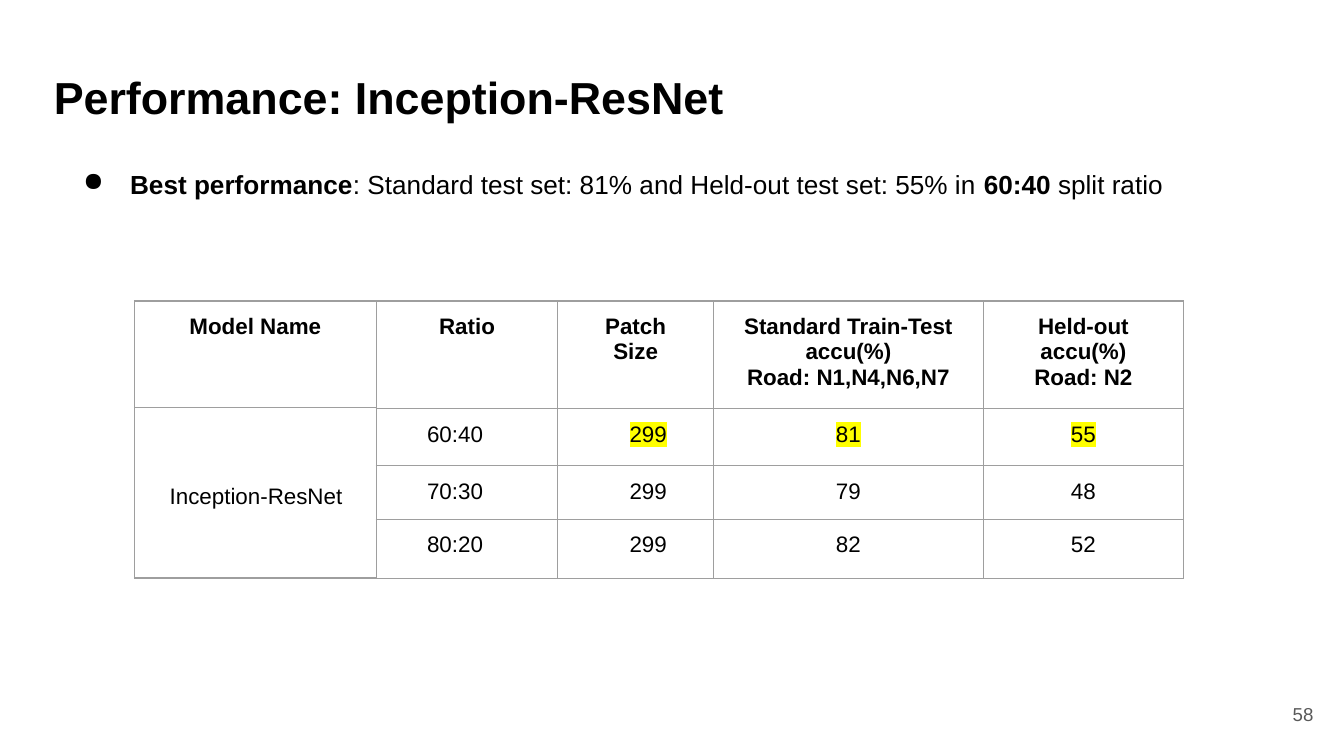
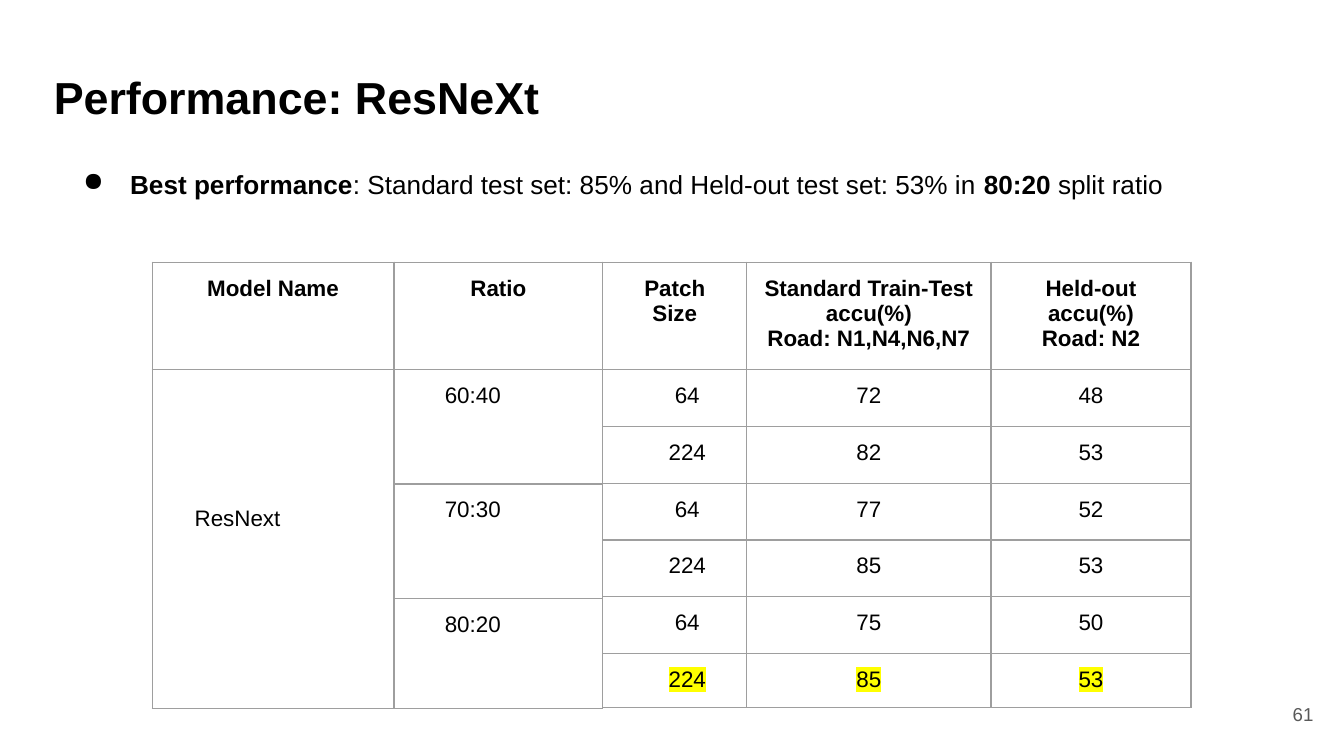
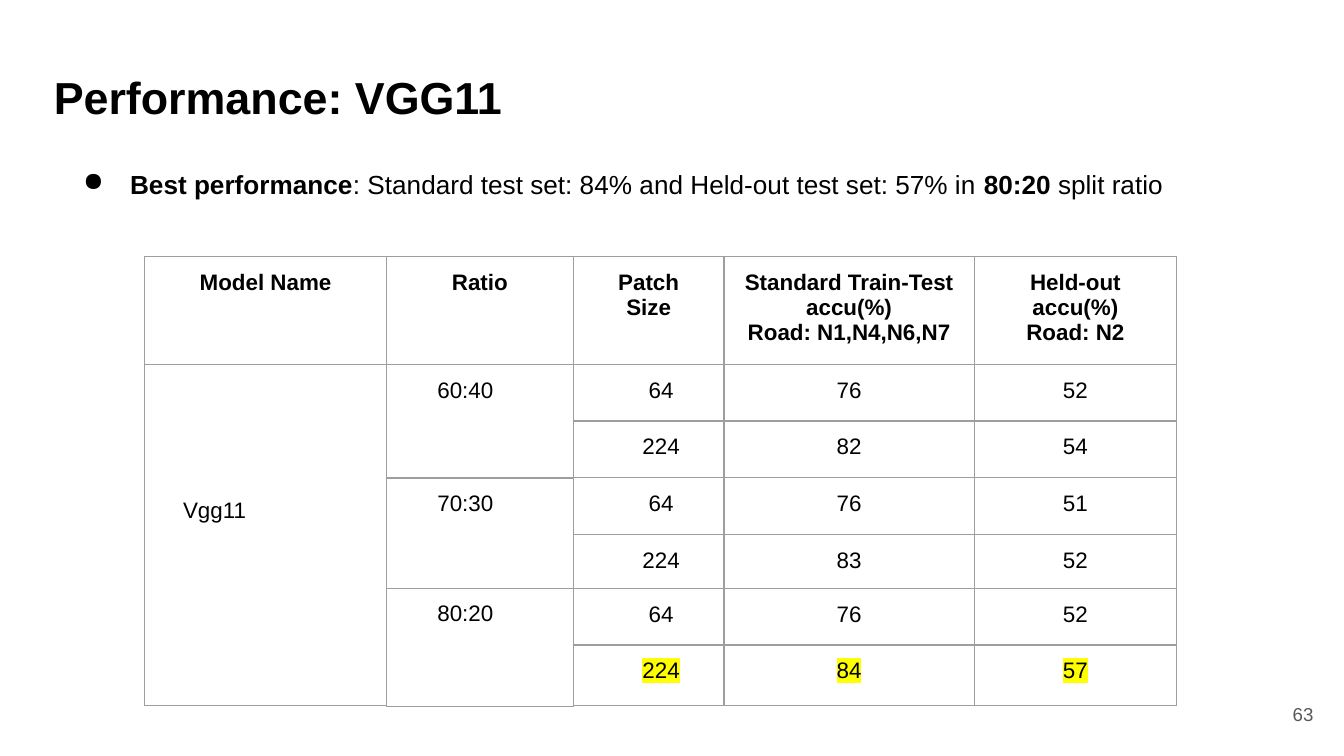
import lxml.etree
import pptx
import pptx.dml.color
import pptx.enum.text
import pptx.oxml.ns
import pptx.util

Pt = pptx.util.Pt
qn = pptx.oxml.ns.qn
ALIGN = pptx.enum.text.PP_ALIGN
ANCHOR = pptx.enum.text.MSO_ANCHOR

BLACK = pptx.dml.color.RGBColor(0x00, 0x00, 0x00)
GRAY = pptx.dml.color.RGBColor(0x59, 0x59, 0x59)
BORDER = pptx.dml.color.RGBColor(0x9E, 0x9E, 0x9E)
YELLOW = pptx.dml.color.RGBColor(0xFF, 0xFF, 0x00)

FONT = "Arial"
INSET = 7.2
RATIO_INDENT = 20
PATCH_INDENT = 13.4
MODEL_WIDTH = 129.6
RATIOS = ["60:40", "70:30", "80:20"]
RESULT_HEADERS = [
    ["Patch", "Size"],
    ["Standard Train-Test", "accu(%)", "Road: N1,N4,N6,N7"],
    ["Held-out", "accu(%)", "Road: N2"],
]

# One entry per slide; "best" is the index of the highlighted result
SLIDES = [
    {
        "model": "Inception-ResNet", "label": "Inception-ResNet",
        "page": 58, "title_width": 535.7,
        "left": 72, "top": 161.3,
        "label_indent": 11.7, "label_drop": 34, "model_rows": [57, 91.4],
        "ratio_width": 97.2, "ratio_rows": [57.6, 30.4, 28.8, 31.7],
        "result_widths": [83.5, 144.5, 107.3],
        "result_rows": [57.6, 30.4, 28.8, 31.7],
        "results": [(299, 81, 55), (299, 79, 48), (299, 82, 52)],
        "best": 0, "best_ratio": "60:40",
    },
    {
        "model": "ResNeXt", "label": "ResNext",
        "page": 61, "title_width": 355,
        "left": 81.5, "top": 140.5,
        "label_indent": 15.6, "label_drop": 66, "model_rows": [57.6, 181.4],
        "ratio_width": 111.8, "ratio_rows": [57.6, 61.2, 61.2, 59],
        "result_widths": [77.2, 130.8, 107.2],
        "result_rows": [43.2] + [30.4] * 5 + [28.8],
        "results": [(64, 72, 48), (224, 82, 53), (64, 77, 52),
                    (224, 85, 53), (64, 75, 50), (224, 85, 53)],
        "best": 5, "best_ratio": "80:20",
    },
    {
        "model": "VGG11", "label": "Vgg11",
        "page": 63, "title_width": 355,
        "left": 77.5, "top": 137.5,
        "label_indent": 13.4, "label_drop": 64.4, "model_rows": [57.6, 183],
        "ratio_width": 100, "ratio_rows": [57.6, 61, 59, 63.4],
        "result_widths": [80.8, 134, 108.5],
        "result_rows": [57.6, 30.4, 30.4, 30.4, 28.8, 30.4, 32.6],
        "results": [(64, 76, 52), (224, 82, 54), (64, 76, 51),
                    (224, 83, 52), (64, 76, 52), (224, 84, 57)],
        "best": 5, "best_ratio": "80:20",
    },
]


def style_font(paragraph, size, color=BLACK, bold=False):
    font = paragraph.font
    font.name = FONT
    font.size = Pt(size)
    font.color.rgb = color
    font.bold = bold


def set_insets(frame):
    frame.margin_left = frame.margin_right = Pt(INSET)
    frame.margin_top = frame.margin_bottom = Pt(INSET)


def add_text_box(slide, left, top, width, height):
    frame = slide.shapes.add_textbox(Pt(left), Pt(top), Pt(width), Pt(height)).text_frame
    frame.word_wrap = True
    set_insets(frame)
    return frame


def add_title(slide, text, width):
    title = slide.shapes.title
    title.left, title.top, title.width, title.height = Pt(21.6), Pt(30.2), Pt(width), Pt(45.4)
    frame = title.text_frame
    frame.text = text
    frame.vertical_anchor = ANCHOR.TOP
    frame.auto_size = pptx.enum.text.MSO_AUTO_SIZE.NONE
    set_insets(frame)
    frame.paragraphs[0].alignment = ALIGN.LEFT
    style_font(frame.paragraphs[0], 24, bold=True)


def add_page_number(slide, number):
    frame = add_text_box(slide, 667.5, 367.2, 43.2, 31)
    frame.vertical_anchor = ANCHOR.MIDDLE
    frame.text = str(number)
    frame.paragraphs[0].alignment = ALIGN.RIGHT
    style_font(frame.paragraphs[0], 10, GRAY)


def add_summary(slide, standard, held_out, ratio):
    summary = add_text_box(slide, 26.6, 82.8, 632.2, 31.7).paragraphs[0]
    # Hanging bullet
    properties = summary._p.get_or_add_pPr()
    properties.set("marL", str(Pt(36)))
    properties.set("indent", str(Pt(-25.2)))
    bullet_color = lxml.etree.SubElement(properties, qn("a:buClr"))
    lxml.etree.SubElement(bullet_color, qn("a:srgbClr")).set("val", str(BLACK))
    lxml.etree.SubElement(properties, qn("a:buChar")).set("char", "●")
    style_font(summary, 14)
    for text, bold in [
        ("Best performance", True),
        (f": Standard test set: {standard}% and Held-out test set: {held_out}% in ", False),
        (ratio, True),
        (" split ratio", False),
    ]:
        run = summary.add_run()
        run.text = text
        run.font.bold = bold


def add_cell_borders(cell):
    properties = cell._tc.get_or_add_tcPr()
    for position, side in enumerate(("lnL", "lnR", "lnT", "lnB")):
        line = lxml.etree.Element(qn("a:" + side), w=str(Pt(0.75)))
        fill = lxml.etree.SubElement(line, qn("a:solidFill"))
        lxml.etree.SubElement(fill, qn("a:srgbClr")).set("val", str(BORDER))
        properties.insert(position, line)


def highlight(run):
    mark = lxml.etree.SubElement(run._r.get_or_add_rPr(), qn("a:highlight"))
    lxml.etree.SubElement(mark, qn("a:srgbClr")).set("val", str(YELLOW))


def fill_cell(cell, lines, bold=False, align=ALIGN.CENTER, indent=0, drop=0, marked=False):
    cell.fill.background()
    add_cell_borders(cell)
    cell.margin_left, cell.margin_right = Pt(INSET + indent), Pt(INSET)
    cell.margin_top, cell.margin_bottom = Pt(INSET + drop), Pt(INSET)
    cell.text = "\n".join(lines)
    for paragraph in cell.text_frame.paragraphs:
        paragraph.alignment = align
        style_font(paragraph, 12, bold=bold)
        if marked:
            highlight(paragraph.runs[0])


def add_grid(slide, left, top, widths, heights, headers):
    """Add a plain table with its bold header row and return it."""
    table = slide.shapes.add_table(
        len(heights), len(widths), Pt(left), Pt(top), Pt(sum(widths)), Pt(sum(heights))
    ).table
    table.first_row = table.horz_banding = False
    for column, width in zip(table.columns, widths):
        column.width = Pt(width)
    for row, height in zip(table.rows, heights):
        row.height = Pt(height)
    for column, lines in enumerate(headers):
        fill_cell(table.cell(0, column), lines, bold=True)
    return table


def add_performance_tables(slide, data):
    left, top = data["left"], data["top"]
    ratio_left = left + MODEL_WIDTH
    result_left = ratio_left + data["ratio_width"]

    # Patch sizes and accuracies
    results = add_grid(slide, result_left, top, data["result_widths"],
                       data["result_rows"], RESULT_HEADERS)
    for index, values in enumerate(data["results"]):
        for column, value in enumerate(values):
            fill_cell(results.cell(index + 1, column), [str(value)],
                      indent=PATCH_INDENT if column == 0 else 0,
                      marked=index == data["best"])

    # Split ratios
    ratios = add_grid(slide, ratio_left, top, [data["ratio_width"]],
                      data["ratio_rows"], [["Ratio"]])
    for row, ratio in enumerate(RATIOS, start=1):
        fill_cell(ratios.cell(row, 0), [ratio], align=ALIGN.LEFT, indent=RATIO_INDENT)

    # Model name
    model = add_grid(slide, left, top, [MODEL_WIDTH], data["model_rows"], [["Model Name"]])
    fill_cell(model.cell(1, 0), [data["label"]], align=ALIGN.LEFT,
              indent=data["label_indent"], drop=data["label_drop"])


def main():
    deck = pptx.Presentation()
    deck.slide_width, deck.slide_height = Pt(720), Pt(405)
    title_only = deck.slide_layouts[5]
    for data in SLIDES:
        slide = deck.slides.add_slide(title_only)
        add_title(slide, f"Performance: {data['model']}", data["title_width"])
        add_page_number(slide, data["page"])
        add_performance_tables(slide, data)
        _, standard, held_out = data["results"][data["best"]]
        add_summary(slide, standard, held_out, data["best_ratio"])
    deck.save("out.pptx")


if __name__ == "__main__":
    main()
